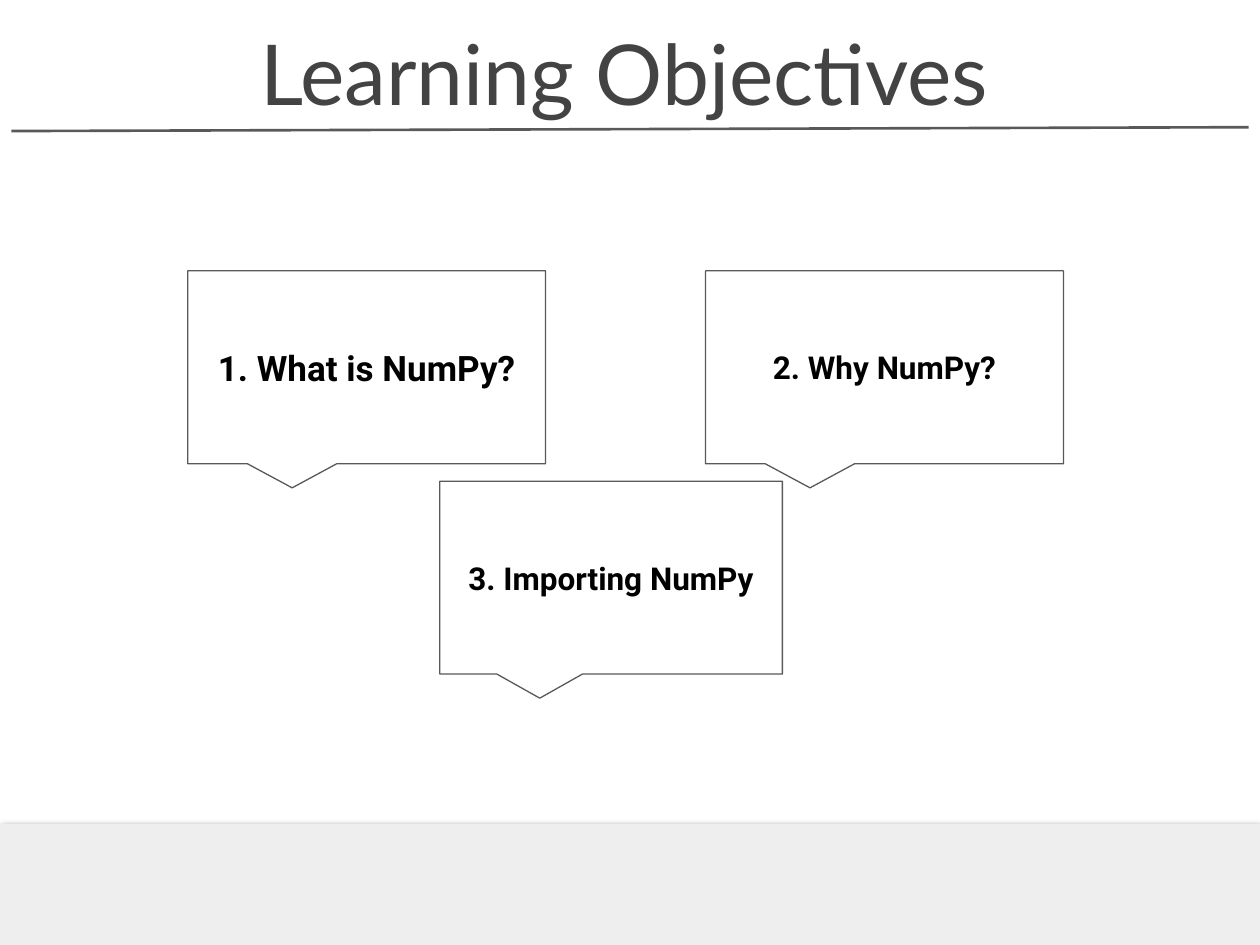
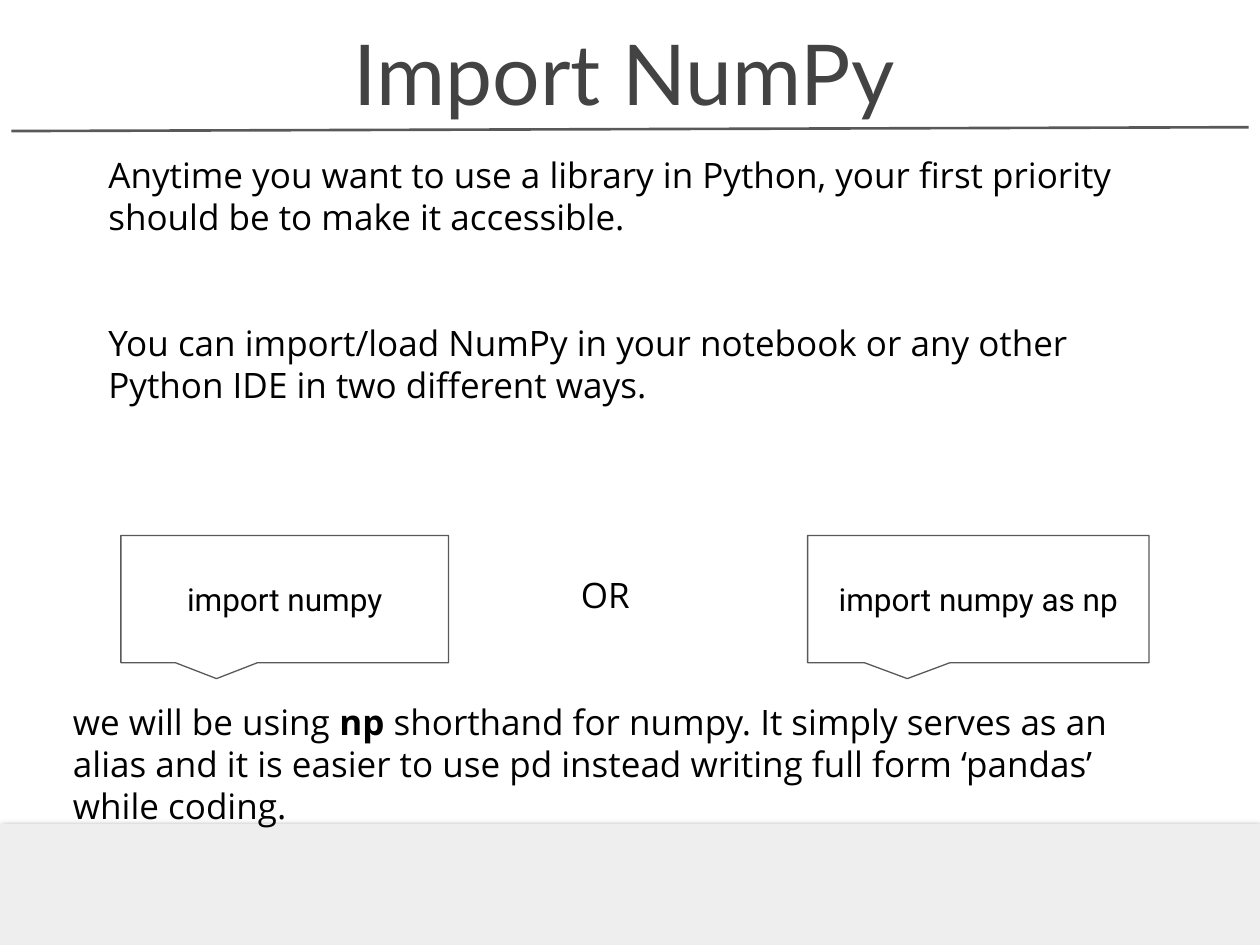
"""Builds two slides on NumPy: the learning objectives and the import statement."""
from lxml import etree
from pptx import Presentation
from pptx.dml.color import RGBColor
from pptx.enum import shapes, text
from pptx.oxml import ns
from pptx.util import Pt

INK, GREY, TITLE, BAND = "000000", "595959", "434343", "EEEEEE"
WIDE, HIGH = 720, 540
GOALS = [
    ("1. What is NumPy?", 20, (107.3, 154.8, 204.5, 110.2)),
    ("2. Why NumPy?", 18, (403.2, 154.8, 204.5, 110.2)),
    ("3. Importing NumPy", 18, (251.3, 275, 195.8, 110.2)),
]
WAYS = [
    ("import numpy", 18, (69.1, 306, 187.2, 72.7)),
    ("import numpy as np", 18, (461.5, 306, 195.1, 72.7)),
]
INTRO = [
    ("Anytime you want to use a library in Python, your first priority "
     "should be to make it accessible.", 0, 0),
    ("You can import/load NumPy in your notebook or any other "
     "Python IDE in two different ways.", 48, 0),
    ("OR", 96, 270),
]
ALIAS = [
    ("we will be using ", False),
    ("np ", True),
    ("shorthand for numpy. It simply serves as an alias and it is easier "
     "to use pd instead writing full form ‘pandas’ while coding.", False),
]


def hue(code):
    return RGBColor.from_string(code)


def place(shape, box):
    shape.left, shape.top, shape.width, shape.height = map(Pt, box)


def setup(shape, anchor):
    frame = shape.text_frame
    frame.word_wrap = True
    frame.auto_size = text.MSO_AUTO_SIZE.NONE
    frame.vertical_anchor = anchor
    for side in ("left", "right", "top", "bottom"):
        setattr(frame, "margin_" + side, Pt(7.2))
    return frame


def write(para, words, font="Open Sans", size=20, color=INK, bold=False,
          align=text.PP_ALIGN.LEFT, before=0, indent=0):
    para.alignment = align
    para.space_before = Pt(before)
    props = para._p.get_or_add_pPr()
    props.set("marL", str(Pt(indent)))
    props.set("indent", "0")
    if props.find(ns.qn("a:buNone")) is None:
        etree.SubElement(props, ns.qn("a:buNone"))
    run = para.add_run()
    run.text = words
    run.font.name, run.font.size, run.font.bold = font, Pt(size), bold
    run.font.color.rgb = hue(color)


def shade(shape):
    props = shape._element.spPr
    for old in props.findall(ns.qn("a:effectLst")):
        props.remove(old)
    effects = etree.SubElement(props, ns.qn("a:effectLst"))
    outer = etree.SubElement(effects, ns.qn("a:outerShdw"), blurRad=str(Pt(4.5)),
                             dist=str(Pt(1.5)), dir="5400000", algn="t", rotWithShape="0")
    color = etree.SubElement(outer, ns.qn("a:srgbClr"), val=INK)
    etree.SubElement(color, ns.qn("a:alpha"), val="50000")


def start(deck, layout, title):
    slide = deck.slides.add_slide(deck.slide_layouts[layout])
    head = slide.shapes.title
    place(head, (93.6, 13.7, 526.3, 63.4))
    frame = setup(head, text.MSO_ANCHOR.BOTTOM)
    write(frame.paragraphs[0], title, font="Lato", size=48, color=TITLE,
          align=text.PP_ALIGN.CENTER)
    rule = slide.shapes.add_connector(shapes.MSO_CONNECTOR.STRAIGHT,
                                      Pt(6.5), Pt(74.9), Pt(WIDE - 6.5), Pt(72.7))
    rule.line.color.rgb = hue(GREY)
    rule.line.width = Pt(1.5)
    etree.SubElement(rule._element.spPr, ns.qn("a:effectLst"))
    top = 470.9
    band = slide.shapes.add_shape(shapes.MSO_SHAPE.RECTANGLE,
                                  0, Pt(top), Pt(WIDE), Pt(HIGH - top))
    band.fill.solid()
    band.fill.fore_color.rgb = hue(BAND)
    band.line.fill.background()
    shade(band)
    return slide


def bubble(slide, words, size, box, bold=False):
    shape = slide.shapes.add_shape(shapes.MSO_SHAPE.ROUNDED_RECTANGULAR_CALLOUT,
                                   *map(Pt, box))
    for spot, value in enumerate((-0.208, 0.625, 0)):
        shape.adjustments[spot] = value
    shape.shadow.inherit = False
    shape.fill.background()
    shape.line.color.rgb = hue(GREY)
    shape.line.width = Pt(0.75)
    frame = setup(shape, text.MSO_ANCHOR.MIDDLE)
    write(frame.paragraphs[0], words, font="Roboto", size=size, bold=bold,
          align=text.PP_ALIGN.CENTER)


def goals(deck):
    slide = start(deck, 5, "Learning Objectives")
    for goal in GOALS:
        bubble(slide, *goal, bold=True)


def ways(deck):
    slide = start(deck, 1, "Import NumPy")
    body = slide.placeholders[1]
    place(body, (54.7, 80.6, 619.2, 383))
    frame = setup(body, text.MSO_ANCHOR.TOP)
    for spot, (words, before, indent) in enumerate(INTRO):
        para = frame.add_paragraph() if spot else frame.paragraphs[0]
        write(para, words, before=before, indent=indent)
    for way in WAYS:
        bubble(slide, *way)
    note = slide.shapes.add_textbox(*map(Pt, (34.6, 393.1, 644.4, 63.4)))
    para = setup(note, text.MSO_ANCHOR.TOP).paragraphs[0]
    for words, bold in ALIAS:
        write(para, words, bold=bold)


def main():
    deck = Presentation()
    deck.slide_width, deck.slide_height = Pt(WIDE), Pt(HIGH)
    goals(deck)
    ways(deck)
    deck.save("out.pptx")


if __name__ == "__main__":
    main()
